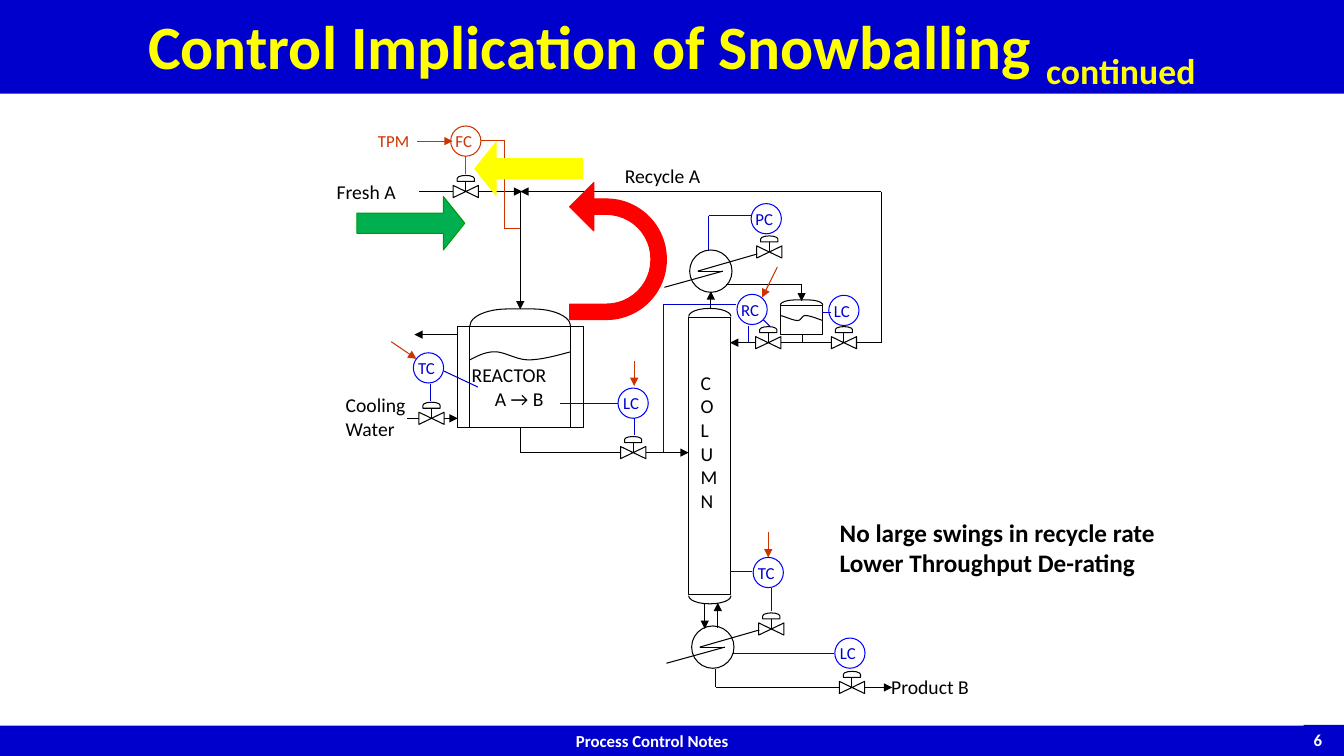
from lxml import etree
from pptx import Presentation
from pptx.dml.color import RGBColor
from pptx.enum.shapes import MSO_CONNECTOR, MSO_SHAPE as SHAPE
from pptx.enum.text import MSO_ANCHOR as ANCHOR, PP_ALIGN as ALIGN
from pptx.oxml.ns import qn
from pptx.util import Inches, Pt

COLORS = {"band": "0000CC", "signal": "0000CC", "circle": "0000FF", "setpoint": "CC3300",
          "black": "000000", "white": "FFFFFF", "yellow": "FFFF00", "red": "FF0000",
          "green": "00B050", "green edge": "009900"}

# Content: each pipe or signal is a colour, its points and the end with an arrow
LINES = [
    ("black", [(4.04, 4.15), (4.54, 4.15)], "tail"),                # cooling water in
    ("black", [(4.53, 3.32), (4.11, 3.32)], "tail"),                # cooling water out
    ("black", [(4.16, 1.9), (5.18, 1.9)], "tail"),                  # fresh feed
    ("black", [(5.16, 1.9), (5.16, 3.07)], "tail"),                 # reactor feed
    ("black", [(8.74, 3.4), (8.74, 1.9), (5.16, 1.9)], "tail"),     # recycle
    ("black", [(5.16, 4.24), (5.16, 4.49), (6.83, 4.49)], "tail"),  # column feed
    ("black", [(7.05, 3.06), (7.05, 2.89)], "tail"),                # overhead vapour
    ("black", [(7.2, 2.82), (7.95, 2.82), (7.95, 2.99)], "tail"),   # condensate
    ("black", [(7.96, 3.32), (7.96, 3.4)], None),                   # drum outlet
    ("black", [(8.74, 3.4), (7.24, 3.4)], "tail"),                  # reflux
    ("black", [(6.99, 5.99), (6.99, 6.24)], "tail"),                # to reboiler
    ("black", [(7.12, 6.23), (7.12, 5.98)], "tail"),                # boil-up
    ("black", [(7.1, 6.64), (7.1, 6.82), (8.85, 6.82)], "tail"),    # product
    ("signal", [(4.74, 3.84), (4.4, 3.68)], None),
    ("signal", [(4.27, 3.81), (4.27, 3.98)], None),
    ("signal", [(5.55, 4), (6.13, 4)], None),
    ("signal", [(6.29, 4.15), (6.29, 4.32)], None),
    ("signal", [(7.03, 2.48), (7.03, 2.14), (7.45, 2.14)], None),
    ("signal", [(8.15, 3.1), (8.24, 3.1)], None),
    ("signal", [(7.27, 6.48), (8.27, 6.48)], None),
    ("signal", [(7.42, 3.39), (7.42, 3.23)], None),
    ("signal", [(6.58, 4.48), (6.58, 3.02), (7.3, 3.02)], None),
    ("signal", [(7.57, 3.17), (7.64, 3.24)], None),
    ("signal", [(7.24, 5.67), (7.46, 5.67)], None),
    ("signal", [(7.65, 5.83), (7.65, 6.06)], None),
    ("setpoint", [(3.88, 3.39), (4.13, 3.56)], "tail"),
    ("setpoint", [(6.29, 3.58), (6.29, 3.83)], "tail"),
    ("setpoint", [(7.62, 5.28), (7.62, 5.53)], "tail"),
    ("setpoint", [(7.71, 2.65), (7.56, 2.95)], "tail"),
    ("setpoint", [(4.14, 1.4), (4.49, 1.4)], "tail"),
    ("setpoint", [(5.16, 2.27), (5, 2.27), (5, 1.39), (4.77, 1.39)], None),
    ("setpoint", [(4.62, 1.55), (4.62, 1.73)], None),
]
VALVES = [(4.28, 4.15, "white"), (4.62, 1.9, "white"), (6.28, 4.49, "white"),
          (7.63, 2.5, None), (7.65, 6.24, None), (8.37, 3.4, "white"),
          (7.62, 3.4, "white"), (8.45, 6.82, "white")]
CONTROLLERS = [("TC", 4.1, 3.5), ("LC", 6.13, 3.85), ("PC", 7.45, 2.02), ("LC", 8.22, 2.93),
               ("LC", 8.28, 6.33), ("RC", 7.31, 2.92), ("TC", 7.47, 5.53), ("FC", 4.47, 1.25)]
EXCHANGERS = [(7.05, 2.69), (7.07, 6.42)]
ZIGZAG = [(0.46, -0.17), (-0.13, 0), (0.12, 0), (-0.46, 0.16)]
WALLS = [(4.66, 3.24, 1, 1), (4.54, 3.24, 1.25, 1),
         (6.83, 3.15, 0.42, 2.75), (7.74, 3.03, 0.42, 0.29)]
# Domed ends: centre, depth, width, rotation, corner adjustment
DOMES = [(5.16, 3.15, 0.17, 1, 270, 2.2), (7.04, 3.1, 0.08, 0.42, 270, 2.5),
         (7.04, 5.95, 0.08, 0.42, 90, 2.5), (7.95, 3, 0.05, 0.42, 270, 3)]
# Liquid levels: start point, then Bezier segments
LEVELS = [((4.66, 3.57), [((4.74, 3.53), (4.81, 3.49), (4.91, 3.49)),
                          ((5.01, 3.49), (5.12, 3.57), (5.24, 3.57)),
                          ((5.37, 3.57), (5.51, 3.53), (5.66, 3.49))]),
          ((7.74, 3.13), [((7.81, 3.15), (7.87, 3.18), (7.91, 3.18)),
                          ((7.95, 3.18), (7.95, 3.13), (7.99, 3.13)),
                          ((8.03, 3.13), (8.13, 3.17), (8.16, 3.18))])]
LABELS = [
    (["REACTOR"], (4.58, 3.55, 0.95, 0.34), {}),
    (["A → B"], (4.81, 3.79, 0.7, 0.34), {}),
    (["Cooling", "Water"], (3.33, 3.85, 0.8, 0.57), {}),
    (["Fresh A"], (3.24, 1.74, 0.79, 0.34), {}),
    (["Recycle A"], (6.1, 1.58, 0.96, 0.34), {}),
    (list("COLUMN"), (6.85, 3.63, 0.37, 1.51), {}),
    (["Product B"], (8.74, 6.65, 0.98, 0.34), {}),
    (["TPM"], (3.65, 1.25, 0.52, 0.3), {"size": 12, "color": "setpoint"}),
    (["No large swings in recycle rate", "Lower Throughput De-rating"],
     (8.23, 5.08, 3.35, 0.71), {"size": 18, "bold": True}),
]
BLOCK_ARROWS = [
    (SHAPE.RIGHT_ARROW, (3.54, 1.95, 1.07, 0.53), [0.38, 0.4], "green", "green edge"),
    (SHAPE.U_TURN_ARROW, (5.45, 2.01, 1.36, 0.96), [0.16, 0.25, 0.25, 0.62, 1], "red", "red"),
    (SHAPE.LEFT_ARROW, (4.71, 1.41, 1.07, 0.53), [0.38, 0.4], "yellow", "yellow"),
]

presentation = Presentation()
presentation.slide_width, presentation.slide_height = Inches(13.33), Inches(7.5)
slide = presentation.slides.add_slide(presentation.slide_layouts[6])


def rgb(name):
    return RGBColor.from_string(COLORS[name])


def paint(shape, fill=None, line="black"):
    shape.shadow.inherit = False
    for part, color in ((shape.fill, fill), (shape.line.fill, line)):
        if color:
            part.solid()
            part.fore_color.rgb = rgb(color)
        else:
            part.background()
    if line:
        shape.line.width = Pt(0.75)
    return shape


def add_shape(kind, box, fill=None, line="black", rotation=0, adjustments=()):
    shape = paint(slide.shapes.add_shape(kind, *map(Inches, box)), fill, line)
    shape.rotation = rotation
    for index, value in enumerate(adjustments):
        shape.adjustments[index] = value
    return shape


def add_centered(kind, x, y, width, height, **options):
    return add_shape(kind, (x - width / 2, y - height / 2, width, height), **options)


def write(shape, lines, size=14, color="black", bold=False, align=ALIGN.LEFT,
          anchor=ANCHOR.TOP, wrap=False, **frame_values):
    frame = shape.text_frame
    frame_values.update(word_wrap=wrap, vertical_anchor=anchor)
    for name, value in frame_values.items():
        setattr(frame, name, value)
    for index, line in enumerate(lines):
        paragraph = frame.add_paragraph() if index else frame.paragraphs[0]
        paragraph.alignment = align
        for text in [line] if isinstance(line, str) else line:
            run = paragraph.add_run()
            run.text = text
            for name, value in {"name": "Calibri", "size": Pt(size), "bold": bold}.items():
                setattr(run.font, name, value)
            run.font.color.rgb = rgb(color)
    return frame


def add_line(points, color="black", arrow=None):
    for start, end in zip(points, points[1:]):
        line = slide.shapes.add_connector(MSO_CONNECTOR.STRAIGHT, *map(Inches, start + end))
        line.line.color.rgb = rgb(color)
        line.line.width = Pt(0.75)
        etree.SubElement(line.element.spPr, qn("a:effectLst"))
    if arrow:
        etree.SubElement(line.line._get_or_add_ln(), qn(f"a:{arrow}End"), type="triangle")


def bezier(points, t):
    weights = ((1 - t) ** 3, 3 * t * (1 - t) ** 2, 3 * t * t * (1 - t), t ** 3)
    return [Inches(sum(w * point[axis] for w, point in zip(weights, points))) for axis in (0, 1)]


# Footer and slide number
footer = {"size": 12, "color": "white", "bold": True}
write(add_shape(SHAPE.RECTANGLE, (0, 7.2, 12.94, 0.3), "band", None),
      ["Process Control Notes"], align=ALIGN.CENTER, wrap=True, **footer)
write(add_shape(SHAPE.RECTANGLE, (12.93, 7.19, 0.4, 0.31), "band", None), ["6"], **footer)

# Vessels and liquid levels
for box in WALLS:
    add_shape(SHAPE.RECTANGLE, box)
for x, y, depth, width, rotation, corner in DOMES:
    add_centered(SHAPE.RIGHT_BRACKET, x, y, depth, width, rotation=rotation, adjustments=[corner])
for start, segments in LEVELS:
    builder = slide.shapes.build_freeform(*map(Inches, start))
    for segment in segments:
        builder.add_line_segments([bezier((start, *segment), step / 10) for step in range(1, 11)],
                                  close=False)
        start = segment[-1]
    paint(builder.convert_to_shape())

# Pipes, signals and equipment
for color, points, arrow in LINES:
    add_line(points, color, arrow)
for x, y in EXCHANGERS:
    add_centered(SHAPE.OVAL, x, y, 0.42, 0.42)
    add_line([(x + dx, y + dy) for dx, dy in ZIGZAG])
for x, y, fill in VALVES:
    add_centered(SHAPE.FLOWCHART_COLLATE, x, y, 0.12, 0.25, fill=fill, rotation=270)
    add_line([(x, y), (x, y - 0.1)])
    add_centered(SHAPE.FLOWCHART_DELAY, x, y - 0.13, 0.06, 0.17, fill=fill, rotation=270)
for name, x, y in CONTROLLERS:
    feed = name == "FC"
    circle = add_shape(SHAPE.OVAL, (x, y, 0.3, 0.3), line="setpoint" if feed else "circle")
    write(circle, [name], 12, "setpoint" if feed else "signal", align=ALIGN.CENTER,
          anchor=ANCHOR.MIDDLE, margin_left=0, margin_right=Inches(0.04),
          margin_top=0, margin_bottom=0)

# Labels and block arrows
for lines, box, options in LABELS:
    write(slide.shapes.add_textbox(*map(Inches, box)), lines, **options)
for kind, box, adjustments, fill, line in BLOCK_ARROWS:
    arrow = add_shape(kind, box, fill, line, adjustments=adjustments)
    if kind == SHAPE.U_TURN_ARROW:
        arrow.rotation = 90
        arrow.element.spPr.get_or_add_xfrm().set("flipH", "1")

# Title
title = write(add_shape(SHAPE.RECTANGLE, (0, 0, 13.33, 0.93), "band", None),
              [("Control Implication of Snowballing ", "continued")], 44, "yellow", True,
              ALIGN.CENTER, ANCHOR.MIDDLE, wrap=True).paragraphs[0]
title.line_spacing = 0.9
title.runs[1].font._element.set("baseline", "-25000")

presentation.save("out.pptx")
